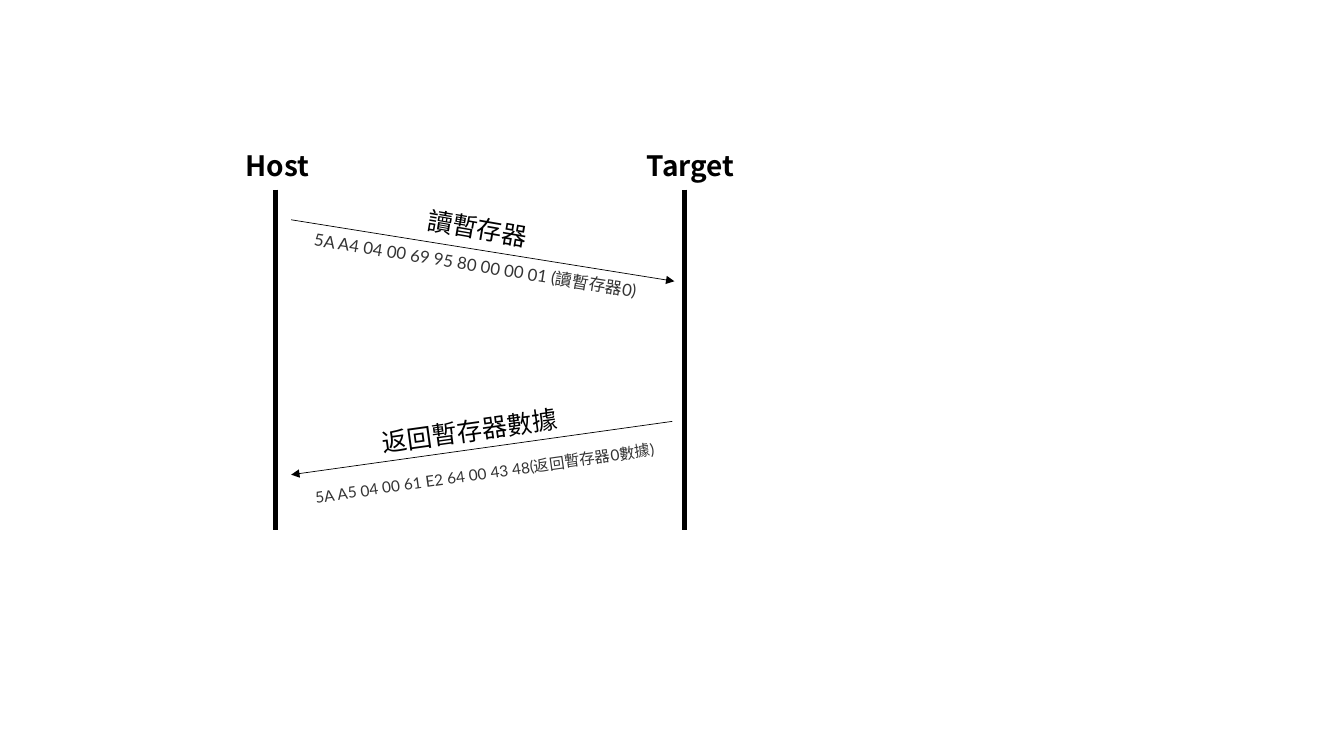
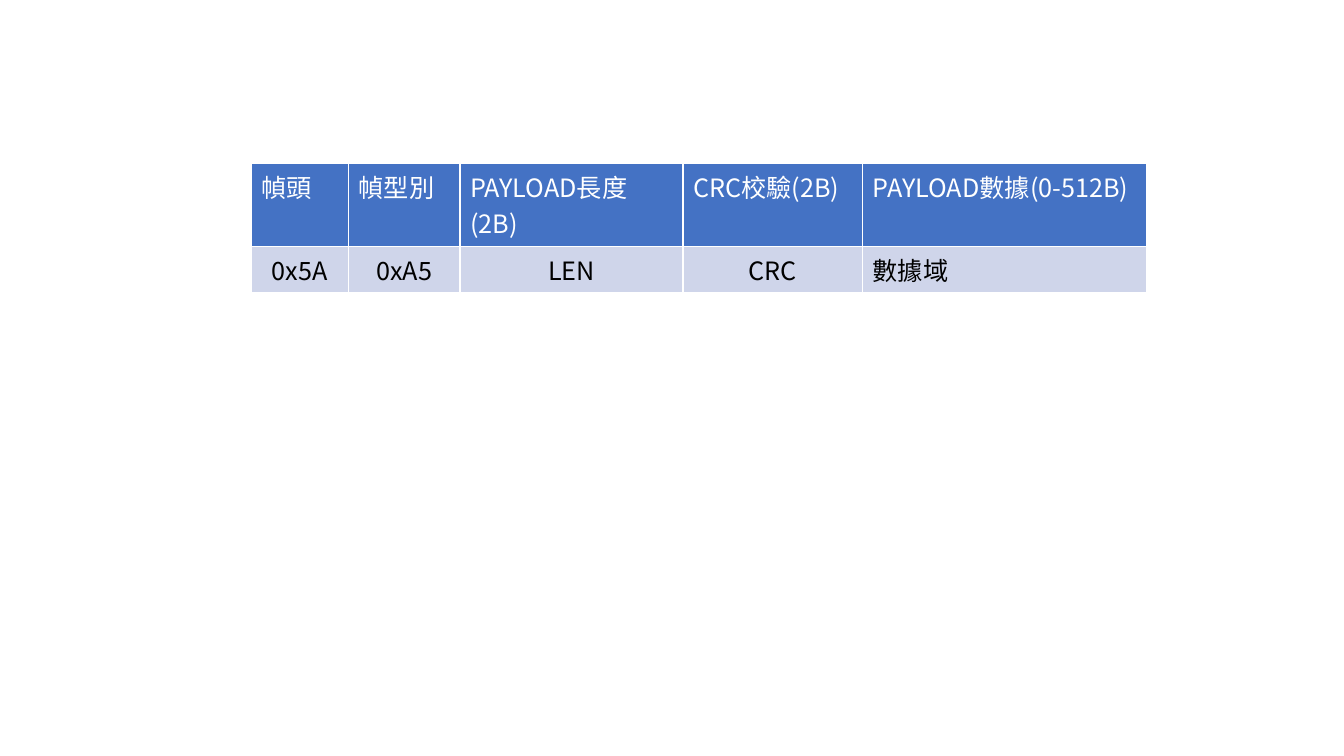
from pptx import Presentation
from pptx import util as u
from pptx.dml import color
from pptx.enum import shapes, text
from pptx.oxml import ns
from lxml import etree

CJK, LATIN = "Noto Sans CJK SC", "Lato"
BLACK, WHITE, GREY, BLUE, PALE = "000000", "FFFFFF", "333333", "4472C4", "CFD5EA"
STYLES = {
    "lifeline": ({"name": CJK, "size": u.Pt(20), "bold": True}, BLACK),
    "message": ({"name": CJK, "size": u.Pt(18)}, BLACK),
    "request": ({"name": LATIN, "size": u.Pt(12)}, GREY),
    "reply": ({"name": LATIN, "size": u.Pt(11)}, GREY),
    "header": ({"name": CJK, "size": u.Pt(18), "bold": False}, WHITE),
    "body": ({"name": CJK, "size": u.Pt(18), "bold": False}, BLACK),
}


def rgb(value):
    return color.RGBColor.from_string(value)


def add_xml(parent, tag, **attributes):
    return etree.SubElement(parent, ns.qn(tag), **attributes)


class Sketch:
    """Draw styled elements on the current slide, with lengths in points."""

    def __init__(self, width, height):
        self.deck = Presentation()
        self.deck.slide_width, self.deck.slide_height = u.Pt(width), u.Pt(height)
        self.page = None

    def new_page(self):
        self.page = self.deck.slides.add_slide(self.deck.slide_layouts[6])

    def put_text(self, frame, words, style, align=text.PP_ALIGN.LEFT):
        values, ink = STYLES[style]
        para = frame.paragraphs[0]
        para.alignment = align
        span = para.add_run()
        span.text = words
        for name, value in values.items():
            setattr(span.font, name, value)
        span.font.color.rgb = rgb(ink)
        add_xml(span._r.get_or_add_rPr(), "a:ea", typeface=CJK)

    def label(self, words, left, top, width, height, style, rotation=0):
        box = self.page.shapes.add_textbox(*map(u.Pt, (left, top, width, height)))
        box.rotation = rotation
        box.text_frame.word_wrap = True
        self.put_text(box.text_frame, words, style)

    def line(self, start, end, weight, arrow=False):
        line = self.page.shapes.add_connector(
            shapes.MSO_CONNECTOR.STRAIGHT, *map(u.Pt, (*start, *end)))
        line.line.color.rgb = rgb(BLACK)
        line.line.width = u.Pt(weight)
        if arrow:
            add_xml(line.line._get_or_add_ln(), "a:tailEnd", type="triangle")
        add_xml(line._element.spPr, "a:effectLst")

    def cell(self, cell, words, style, fill, align):
        properties = cell._tc.get_or_add_tcPr()
        for side in "LRTB":
            edge = add_xml(properties, f"a:ln{side}", w=str(u.Pt(1)))
            add_xml(add_xml(edge, "a:solidFill"), "a:srgbClr", val=WHITE)
        cell.fill.solid()
        cell.fill.fore_color.rgb = rgb(fill)
        self.put_text(cell.text_frame, words, style, align)

    def table(self, left, top, widths, row_height, rows):
        size = (sum(widths), row_height * len(rows))
        table = self.page.shapes.add_table(
            len(rows), len(widths), *map(u.Pt, (left, top, *size))).table
        for column, width in zip(table.columns, widths):
            column.width = u.Pt(width)
        for row, (style, fill, entries) in zip(table.rows, rows):
            for cell, (words, align) in zip(row.cells, entries):
                self.cell(cell, words, style, fill, align)


sketch = Sketch(960, 540)

sketch.new_page()
for name, line_x, label_x in (("Host", 196.6, 168.5), ("Target", 488.9, 455)):
    sketch.line((line_x, 135.4), (line_x, 378.7), 3.75)
    sketch.label(name, label_x, 102.2, 116, 31.7, "lifeline")

sketch.line((208, 157), (481.7, 200.9), 0.5, arrow=True)
sketch.label("讀暫存器", 298, 149, 93, 28.8, "message", 9.8)
sketch.label("5A A4 04 00 69 95 80 00 00 01 (讀暫存器0)",
             216, 180, 265.7, 21.6, "request", 9.1)
sketch.line((480.2, 301), (208, 339.1), 0.5, arrow=True)
sketch.label("返回暫存器數據", 265, 290.9, 172.8, 28.8, "message", 352.1)
sketch.label("5A A5 04 00 61 E2 64 00 43 48(返回暫存器0數據)",
             216.7, 325.4, 293.8, 20.9, "reply", 351.9)

sketch.new_page()
LEFT, CENTER = text.PP_ALIGN.LEFT, text.PP_ALIGN.CENTER
headings = ("幀頭", "幀型別", "PAYLOAD長度(2B)", "CRC校驗(2B)", "PAYLOAD數據(0-512B)")
fields = [(value, CENTER) for value in ("0x5A", "0xA5", "LEN", "CRC")]
sketch.table(179.3, 116.6, (69.8, 79.5, 159.3, 128.4, 203), 29.2, (
    ("header", BLUE, [(heading, LEFT) for heading in headings]),
    ("body", PALE, fields + [("數據域", LEFT)]),
))

sketch.deck.save("out.pptx")
